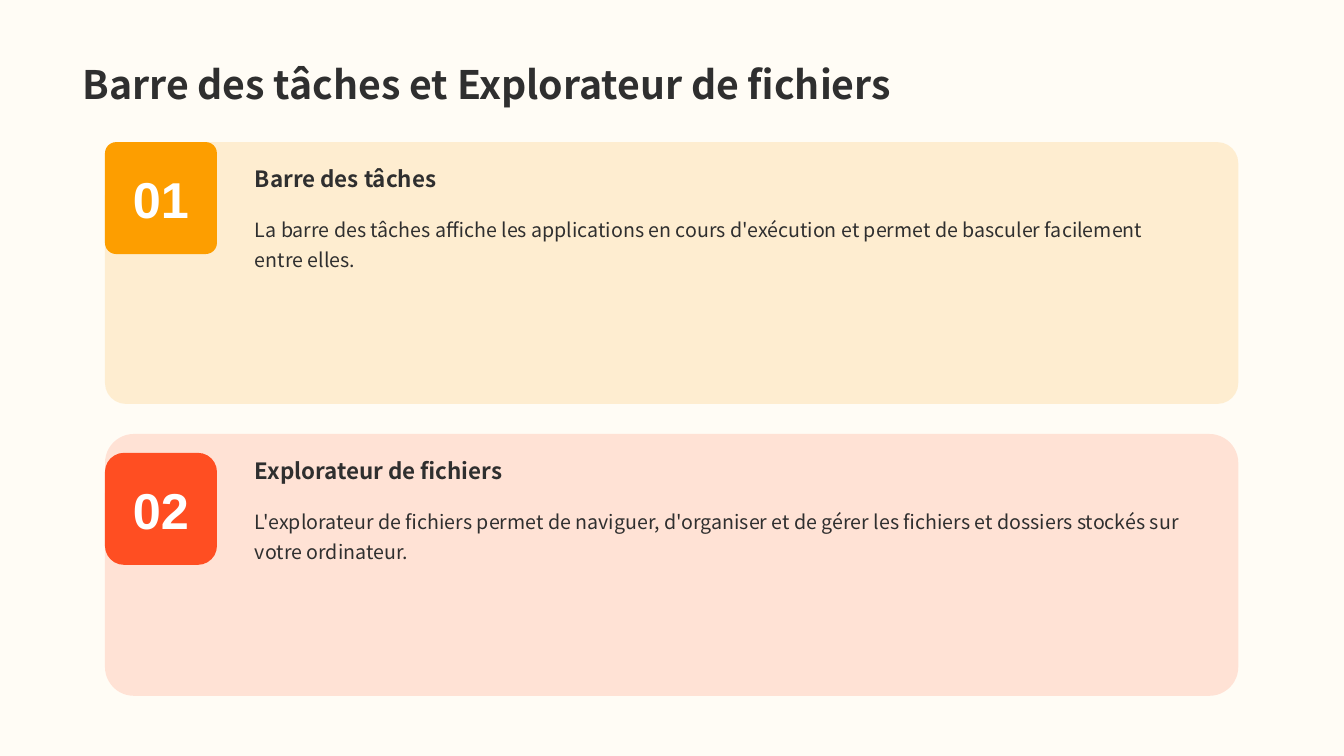
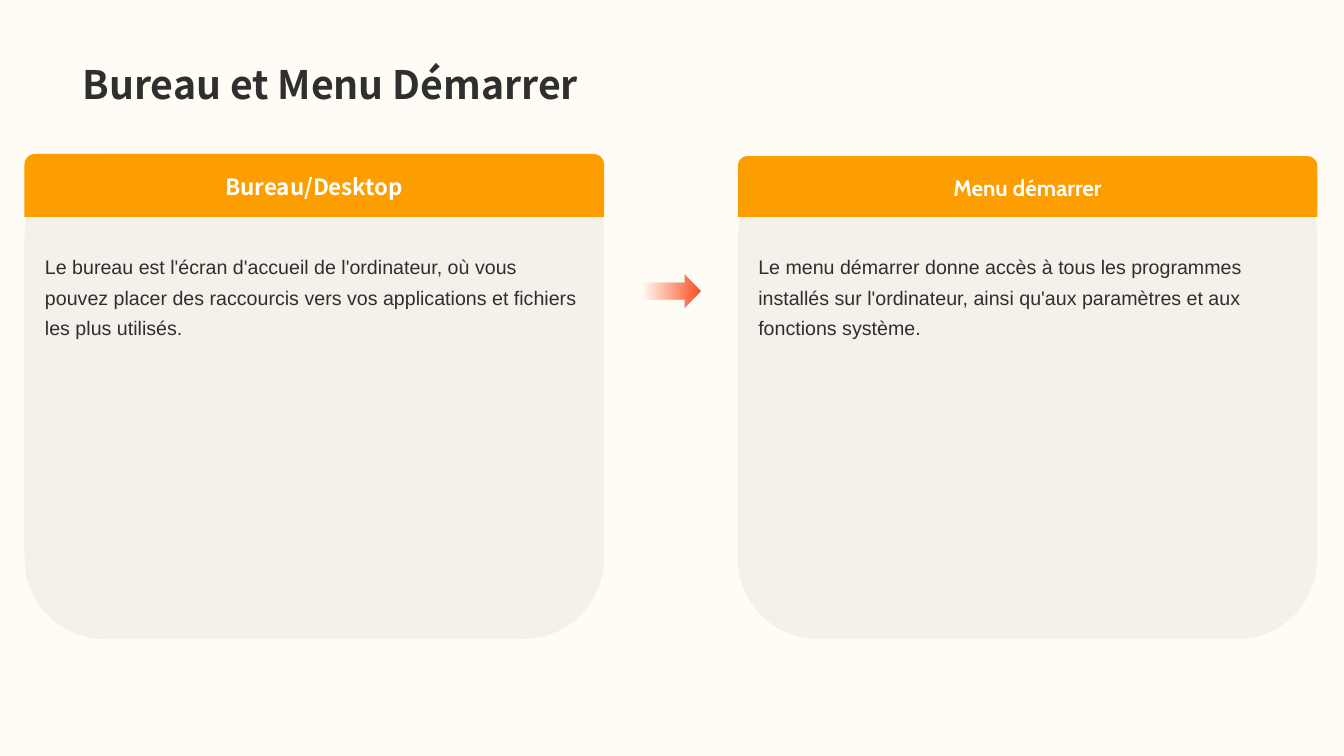
from lxml import etree
from pptx import Presentation
from pptx.dml.color import RGBColor
from pptx.enum.shapes import MSO_SHAPE as SHAPE
from pptx.enum.text import MSO_ANCHOR as ANCHOR, MSO_AUTO_SIZE as AUTOSIZE, PP_ALIGN as ALIGN
from pptx.oxml.ns import qn
from pptx.util import Pt

COLORS = {"paper": "FFFCF5", "ink": "2F2F2F", "white": "FFFFFF",
          "amber": "FD9E00", "red": "FF4E22"}
NOTO, ARIAL, CABIN = "Noto Sans CJK SC", "Arial", "Cabin"
INSET = 8.64

TOPICS_TITLE = "Barre des tâches et Explorateur de fichiers"
TOPICS = [
    {"number": "01", "heading": "Barre des tâches", "color": "amber",
     "body": "La barre des tâches affiche les applications en cours d'exécution "
             "et permet de basculer facilement entre elles.",
     "card_round": 0.08, "badge_round": 0.1, "badge_drop": 0},
    {"number": "02", "heading": "Explorateur de fichiers", "color": "red",
     "body": "L'explorateur de fichiers permet de naviguer, d'organiser et de gérer "
             "les fichiers et dossiers stockés sur votre ordinateur.",
     "card_round": 0.11, "badge_round": 0.17, "badge_drop": 13.5},
]

PANELS_TITLE = "Bureau et Menu Démarrer"
PANELS = [
    {"heading": "Bureau/Desktop", "font": NOTO, "left": 17.5, "top": 110,
     "body": "Le bureau est l'écran d'accueil de l'ordinateur, où vous pouvez placer "
             "des raccourcis vers vos applications et fichiers les plus utilisés."},
    {"heading": "Menu démarrer", "font": CABIN, "left": 527, "top": 111.5,
     "body": "Le menu démarrer donne accès à tous les programmes installés sur "
             "l'ordinateur, ainsi qu'aux paramètres et aux fonctions système."},
]


def rgb(name):
    return RGBColor.from_string(COLORS[name])


def points(box):
    return [Pt(length) for length in box]


def set_alpha(color_element, percent):
    etree.SubElement(color_element, qn("a:alpha")).set("val", str(percent * 1000))


def write(shape, text, size, font, color="ink", bold=False, anchor=ANCHOR.TOP,
          align=None, spacing=None, inset=None, wrap=True):
    frame = shape.text_frame
    frame.text = text
    frame.word_wrap = wrap
    frame.vertical_anchor = anchor
    if inset is not None:
        frame.margin_left = frame.margin_right = Pt(inset)
        frame.margin_top = frame.margin_bottom = Pt(inset)
    paragraph = frame.paragraphs[0]
    paragraph.alignment = align
    paragraph.line_spacing = spacing
    run_font = paragraph.runs[0].font
    run_font.name, run_font.size, run_font.bold = font, Pt(size), bold
    run_font.color.rgb = rgb(color)


def add_text(slide, box, text, size, font, grow=True, **style):
    label = slide.shapes.add_textbox(*points(box))
    write(label, text, size, font, **style)
    label.text_frame.auto_size = AUTOSIZE.SHAPE_TO_FIT_TEXT if grow else AUTOSIZE.NONE


def add_block(slide, kind, box, color, opacity=100, rounding=None):
    block = slide.shapes.add_shape(kind, *points(box))
    block.shadow.inherit = False
    block.line.fill.background()
    block.fill.solid()
    block.fill.fore_color.rgb = rgb(color)
    if opacity < 100:
        set_alpha(next(block.element.spPr.iter(qn("a:srgbClr"))), opacity)
    if rounding is not None:
        block.adjustments[0] = rounding
    return block


def add_titled_slide(deck, title):
    slide = deck.slides.add_slide(deck.slide_layouts[6])
    slide.background.fill.solid()
    slide.background.fill.fore_color.rgb = rgb("paper")
    add_text(slide, (52, 0, 855, 80.5), title, 28, NOTO, grow=False,
             bold=True, anchor=ANCHOR.BOTTOM, spacing=0.9)
    return slide


def add_topic(slide, topic, top):
    left, badge_size, text_left, text_width = 75, 80, 175, 686
    add_block(slide, SHAPE.ROUNDED_RECTANGLE, (left, top, 809.5, 187), topic["color"],
              opacity=15, rounding=topic["card_round"])
    add_text(slide, (text_left, top + 12.5, text_width, 26.5), topic["heading"], 16, NOTO,
             bold=True, anchor=ANCHOR.BOTTOM)
    add_text(slide, (text_left, top + 45.5, text_width, 71.5), topic["body"], 14, NOTO,
             spacing=1.3)
    badge = add_block(slide, SHAPE.ROUNDED_RECTANGLE,
                      (left, top + topic["badge_drop"], badge_size, badge_size),
                      topic["color"], rounding=topic["badge_round"])
    write(badge, topic["number"], 36, ARIAL, color="white", bold=True,
          anchor=ANCHOR.MIDDLE, align=ALIGN.CENTER, inset=INSET, wrap=False)


def add_panel(slide, panel):
    left, top, width = panel["left"], panel["top"], 414
    band_bottom, panel_bottom, indent = 155, 456.5, 6
    add_block(slide, SHAPE.ROUNDED_RECTANGLE, (left, top, width, panel_bottom - top),
              "ink", opacity=5)
    band = add_block(slide, SHAPE.ROUND_2_SAME_RECTANGLE,
                     (left, top, width, band_bottom - top), "amber")
    write(band, panel["heading"], 16, panel["font"], color="white", bold=True,
          anchor=ANCHOR.MIDDLE, align=ALIGN.CENTER, inset=INSET)
    add_text(slide, (left + indent, 168.5, width - 2 * indent, 81.5), panel["body"], 14,
             ARIAL, spacing=1.3, inset=INSET)


def add_fading_arrow(slide, box):
    arrow = add_block(slide, SHAPE.RIGHT_ARROW, box, "red")
    arrow.fill.gradient()
    arrow.fill.gradient_angle = 180
    for stop, position in zip(arrow.fill.gradient_stops, (0, 0.63)):
        stop.position = position
        stop.color.rgb = rgb("red")
    tail_color = list(arrow.element.spPr.iter(qn("a:srgbClr")))[-1]
    set_alpha(tail_color, 0)


def main():
    deck = Presentation()
    deck.slide_width, deck.slide_height = Pt(960), Pt(540)

    topics_slide = add_titled_slide(deck, TOPICS_TITLE)
    for index, topic in enumerate(TOPICS):
        add_topic(topics_slide, topic, 101.5 + index * 208.5)

    panels_slide = add_titled_slide(deck, PANELS_TITLE)
    for panel in PANELS:
        add_panel(panels_slide, panel)
    add_fading_arrow(panels_slide, (434.5, 196.5, 65.5, 23))

    deck.save("out.pptx")


if __name__ == "__main__":
    main()
